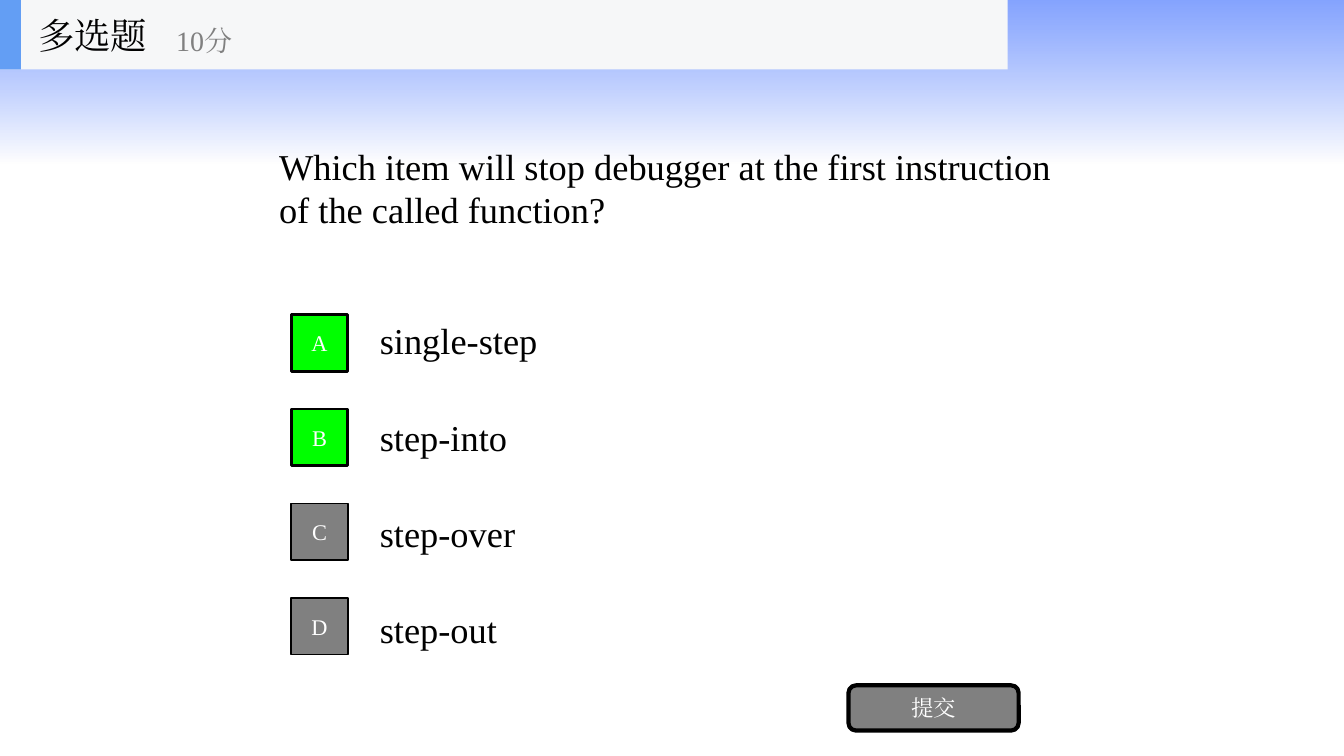
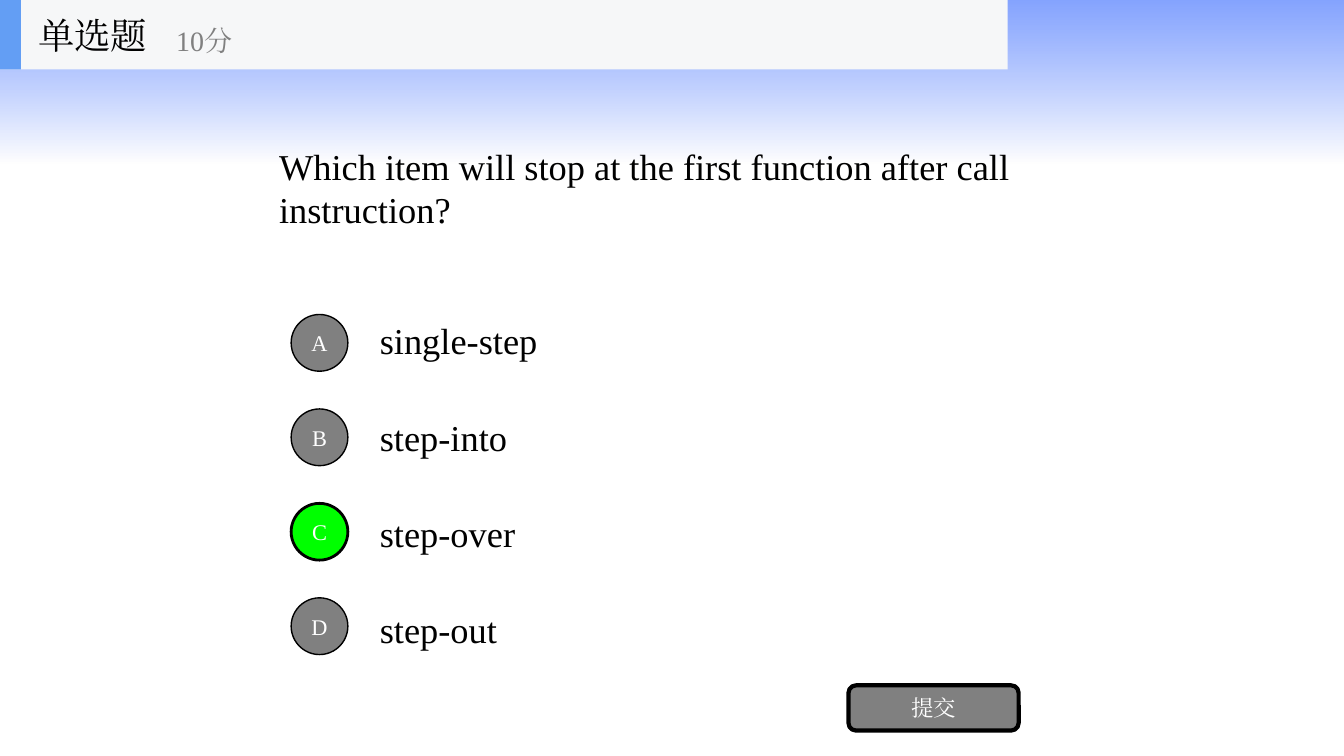
from dataclasses import dataclass

from lxml import etree
from pptx import Presentation
from pptx.dml.color import RGBColor
from pptx.enum.shapes import MSO_SHAPE
from pptx.enum.text import MSO_ANCHOR, MSO_AUTO_SIZE, PP_ALIGN
from pptx.oxml.ns import qn
from pptx.util import Cm, Pt

RECT, OVAL, ROUNDED = MSO_SHAPE.RECTANGLE, MSO_SHAPE.OVAL, MSO_SHAPE.ROUNDED_RECTANGLE
LEFT, CENTER = PP_ALIGN.LEFT, PP_ALIGN.CENTER
MIDDLE = MSO_ANCHOR.MIDDLE
FIXED_SIZE = MSO_AUTO_SIZE.NONE

WIDTH, HEIGHT = 33.88, 19.05
HEADER_HEIGHT = 1.75
OPTIONS_TOP, OPTION_HEIGHT, OPTION_PITCH = 7.75, 1.78, 2.38
MARKER_SIZE = 1.43
TITLE_AND_CONTENT = 1

OPTIONS = ["single-step", "step-into", "step-over", "step-out"]
QUIZ = [
    ("多选题", "Which item will stop debugger at the first instruction of the called function?",
     RECT, "AB"),
    ("单选题", "Which item will stop at the first function after call instruction?",
     OVAL, "C"),
]


@dataclass(frozen=True)
class Theme:
    font: str = "Times New Roman"
    ink: str = "000000"
    paper: str = "FFFFFF"
    muted: str = "808080"
    correct: str = "00FF00"
    panel: str = "F6F7F8"
    accent: str = "639EF4"
    glow: str = "3366FF"
    body_size: int = 26
    points_size: int = 20
    button_size: int = 16


class QuizDeck:
    def __init__(self, theme):
        self.theme = theme
        self.deck = Presentation()
        self.deck.slide_width, self.deck.slide_height = Cm(WIDTH), Cm(HEIGHT)
        self.slide = None

    def new_slide(self):
        layout = self.deck.slide_layouts[TITLE_AND_CONTENT]
        self.slide = self.deck.slides.add_slide(layout)

    def set_text(self, shape, text, size, color, align=LEFT):
        """Fill a shape with text, one paragraph per line."""
        frame = shape.text_frame
        frame.text = text
        frame.word_wrap = True
        frame.auto_size = FIXED_SIZE
        frame.vertical_anchor = MIDDLE
        for paragraph in frame.paragraphs:
            paragraph.alignment = align
            paragraph.space_before = Pt(0)
            for run in paragraph.runs:
                run.font.name = self.theme.font
                run.font.size = Pt(size)
                run.font.color.rgb = RGBColor.from_string(color)
                east_asian = etree.SubElement(run.font._element, qn("a:ea"))
                east_asian.set("typeface", self.theme.font)

    def place(self, shape, left, top, width, height):
        shape.left, shape.top = Cm(left), Cm(top)
        shape.width, shape.height = Cm(width), Cm(height)

    def block(self, kind, left, top, width, height, fill, line_width=0):
        shape = self.slide.shapes.add_shape(kind, Cm(left), Cm(top), Cm(width), Cm(height))
        shape.shadow.inherit = False
        shape.fill.solid()
        shape.fill.fore_color.rgb = RGBColor.from_string(fill)
        if line_width:
            shape.line.color.rgb = RGBColor.from_string(self.theme.ink)
            shape.line.width = Pt(line_width)
        else:
            shape.line.fill.background()
        return shape

    def button(self, kind, left, top, width, height, fill, line_width, text):
        shape = self.block(kind, left, top, width, height, fill, line_width)
        self.set_text(shape, text, self.theme.button_size, self.theme.paper, CENTER)

    def label(self, left, top, width, height, text, size, color):
        box = self.slide.shapes.add_textbox(Cm(left), Cm(top), Cm(width), Cm(height))
        self.set_text(box, text, size, color)

    def master_bands(self):
        """Build the fading band and header bar, then hand them to the slide master."""
        theme = self.theme
        glow = self.block(RECT, 0, 0, WIDTH, 4.11, theme.glow)
        glow.fill.gradient()
        glow.fill.gradient_angle = 270
        for stop, color in zip(glow.fill.gradient_stops, (theme.glow, theme.paper)):
            stop.color.rgb = RGBColor.from_string(color)
        for color, opacity in zip(glow.element.iter(qn("a:srgbClr")), (60, 70)):
            etree.SubElement(color, qn("a:alpha")).set("val", str(opacity * 1000))
        panel = self.block(RECT, 0, 0, 25.4, HEADER_HEIGHT, theme.panel)
        accent = self.block(RECT, 0, 0, 0.53, HEADER_HEIGHT, theme.accent)
        master_tree = self.deck.slide_master.shapes.element
        for position, band in enumerate((glow, panel, accent)):
            band.element.nvSpPr.cNvPr.set("id", str(100 + position))
            master_tree.insert(2 + position, band.element)

    def question(self, text):
        title = self.slide.shapes.title
        self.place(title, 6.78, HEADER_HEIGHT, 20.32, 5.94)
        self.set_text(title, text, self.theme.body_size, self.theme.ink)

    def option_list(self, options):
        body = self.slide.placeholders[1]
        height = OPTION_HEIGHT + (len(options) - 1) * OPTION_PITCH
        self.place(body, 9.32, OPTIONS_TOP, 17.78, height)
        self.set_text(body, "\n".join(options), self.theme.body_size, self.theme.ink)
        for index, paragraph in enumerate(body.text_frame.paragraphs):
            if index:
                paragraph.space_before = Pt(37.5)
            properties = paragraph._p.get_or_add_pPr()
            properties.set("marL", "0")
            properties.set("indent", "0")
            etree.SubElement(properties, qn("a:buNone"))

    def markers(self, kind, answers):
        top = OPTIONS_TOP + (OPTION_HEIGHT - MARKER_SIZE) / 2
        for index, letter in enumerate("ABCD"):
            fill, line_width = (self.theme.correct, 2) if letter in answers else (self.theme.muted, 1)
            self.button(kind, 7.34, top + index * OPTION_PITCH, MARKER_SIZE, MARKER_SIZE,
                        fill, line_width, letter)

    def header(self, category):
        theme = self.theme
        self.label(0.71, 0, 5.28, HEADER_HEIGHT, category, theme.body_size, theme.ink)
        self.label(4.19, 0.3, 6.35, 1.42, "10分", theme.points_size, theme.muted)


def main():
    quiz = QuizDeck(Theme())
    for number, (category, question, marker, answers) in enumerate(QUIZ):
        quiz.new_slide()
        if number == 0:
            quiz.master_bands()
        quiz.question(question)
        quiz.option_list(OPTIONS)
        quiz.markers(marker, answers)
        quiz.button(ROUNDED, 21.39, 17.27, 4.29, 1.14, quiz.theme.muted, 3, "提交")
        quiz.header(category)
    quiz.deck.save("out.pptx")


if __name__ == "__main__":
    main()
